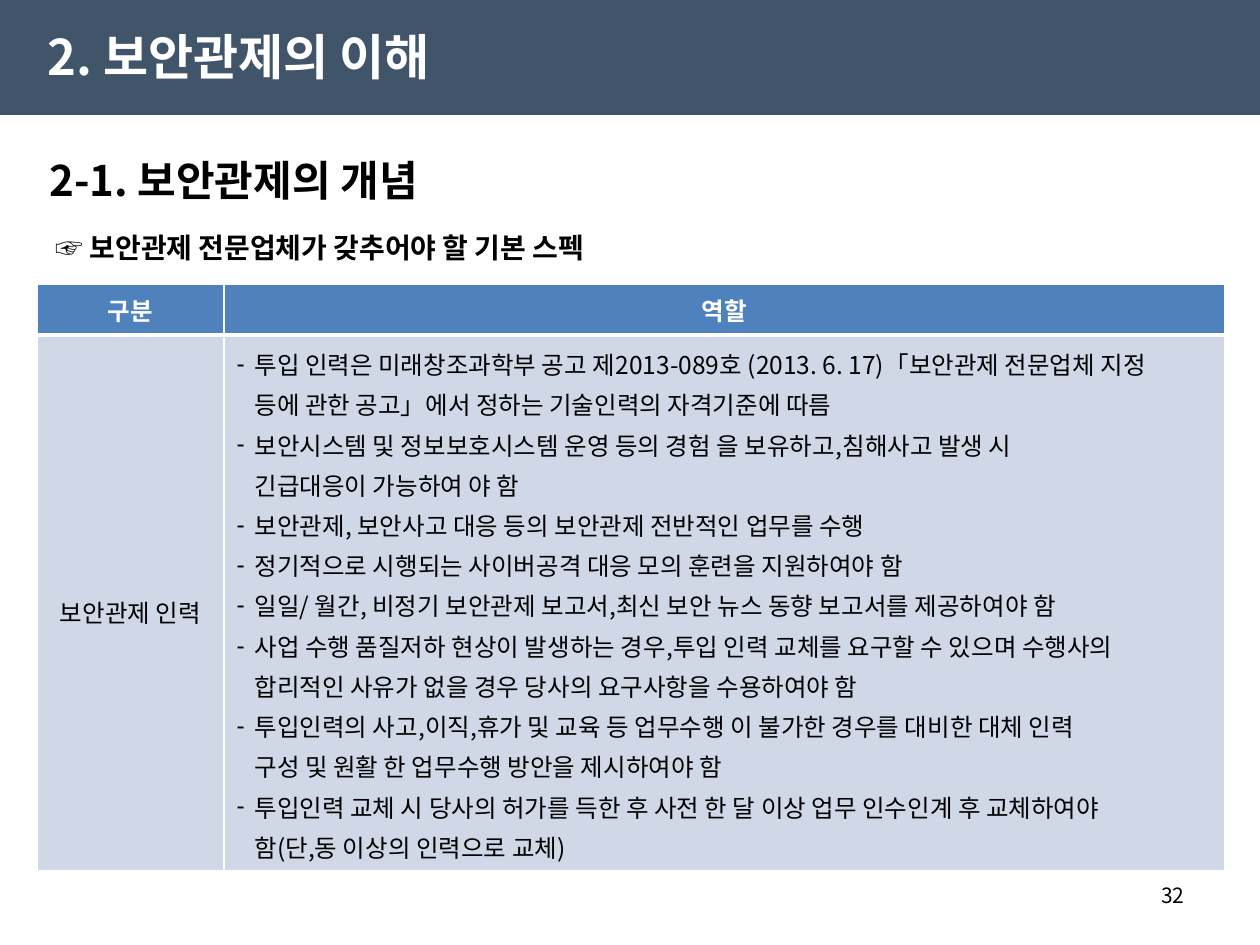
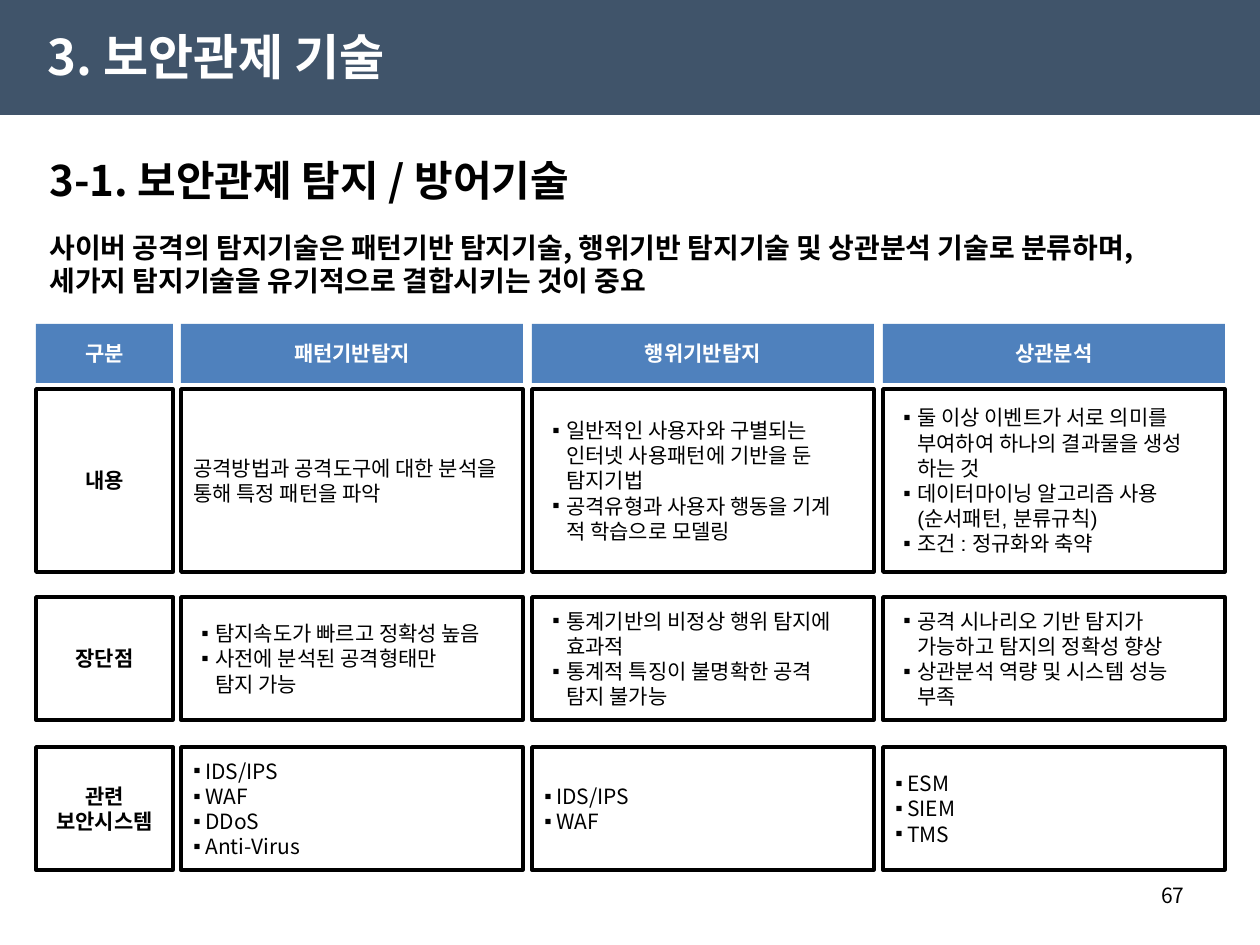
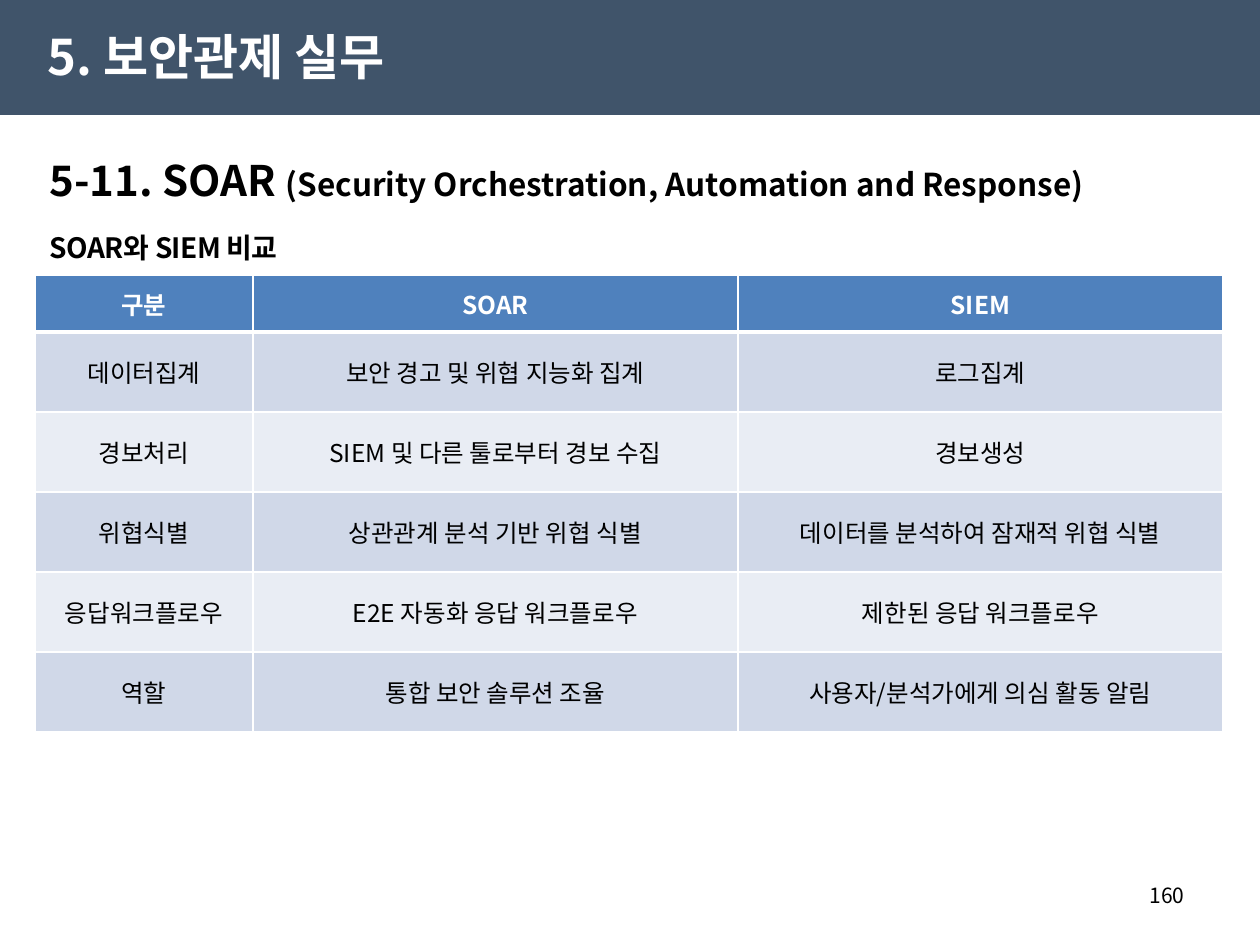
from lxml import etree
from pptx import Presentation
from pptx import util as u
from pptx.dml.color import RGBColor
from pptx.enum import shapes, text
from pptx.oxml.ns import qn

EMU_PER_PX = 914400 / 126
FONT = "Noto Sans CJK KR"
LATIN = "Arial"
COLORS = {"band": "40546A", "head": "4F81BD", "odd": "D0D8E8", "even": "E9EDF4",
          "black": "000000", "white": "FFFFFF"}
LEFT, CENTER, RIGHT = text.PP_ALIGN.LEFT, text.PP_ALIGN.CENTER, text.PP_ALIGN.RIGHT
MIDDLE, TOP = text.MSO_ANCHOR.MIDDLE, text.MSO_ANCHOR.TOP

# Bullet styles: character, text indent and hanging width in px
DASH = ("-", 18, 18)
WIDE_SQUARE = ("▪", 22, 14)
TIGHT_SQUARE = ("▪", 12, 12)


def px(value):
    return u.Emu(round(value * EMU_PER_PX))


def color(name):
    return RGBColor.from_string(COLORS[name])


class Deck:
    def __init__(self):
        self.deck = Presentation()
        self.deck.slide_width, self.deck.slide_height = px(1260), px(945)
        self.page = None

    def new_page(self, title, heading, lead, number, lead_height=47, lead_indent=0, spacing=0):
        """Start a slide; heading is a list of (text, size) spans."""
        self.page = self.deck.slides.add_slide(self.deck.slide_layouts[1])
        if len(self.deck.slides) == 1:
            self.band()
        name, body = self.page.placeholders
        self.place(name, 35, 16, 595, 79)
        self.fill_text(name.text_frame, [title], 28, "white", bold=True)
        self.place(body, 37, 224, 1188, lead_height)
        self.fill_text(body.text_frame, [lead], 16, bold=True, anchor=TOP,
                       indent=lead_indent, spacing=spacing)
        self.label(37, 145, 1188, 69, [heading], 24, bold=True)
        self.label(903, 876, 294, 50, [number], 12, align=RIGHT, anchor=TOP)

    def place(self, item, left, top, width, height):
        item.left, item.top, item.width, item.height = map(px, (left, top, width, height))

    def band(self):
        """Put the title band on the master, behind everything."""
        band = self.box(0, 0, 1260, 115, fill="band").element
        band.nvSpPr.cNvPr.set("id", "20")
        self.deck.slide_master.element.cSld.spTree.insert(2, band)

    def box(self, left, top, width, height, fill=None, line=None):
        box = self.page.shapes.add_shape(
            shapes.MSO_SHAPE.RECTANGLE, *map(px, (left, top, width, height)))
        box.shadow.inherit = False
        if fill:
            box.fill.solid()
            box.fill.fore_color.rgb = color(fill)
        else:
            box.fill.background()
        if line:
            box.line.color.rgb = color(line)
            box.line.width = u.Pt(2)
        else:
            box.line.fill.background()
        return box

    def label(self, left, top, width, height, lines, size, **style):
        box = self.page.shapes.add_textbox(*map(px, (left, top, width, height)))
        self.fill_text(box.text_frame, lines, size, **style)

    def fill_text(self, frame, lines, size, ink="black", bold=False, align=LEFT, anchor=MIDDLE,
                  font=FONT, bullet=None, indent=0, leading=None, spacing=0):
        """Fill a frame; a line is a string or a list of (text, size) spans."""
        frame.word_wrap = True
        frame.auto_size = text.MSO_AUTO_SIZE.NONE
        frame.vertical_anchor = anchor
        for index, line in enumerate(lines):
            para = frame.add_paragraph() if index else frame.paragraphs[0]
            self.bullet(para, bullet, indent)
            para.alignment = align
            para.space_before = u.Pt(0)
            if leading:
                para.line_spacing = leading
            spans = [(line, size)] if isinstance(line, str) else line
            for words, span_size in spans:
                for row, part in enumerate(words.split("\n")):
                    if row:
                        para.add_line_break()
                    self.span(para, part, span_size, ink, bold, font, spacing)

    def bullet(self, para, bullet, indent):
        props = para._p.get_or_add_pPr()
        char, margin, hang = bullet or (None, indent, 0)
        props.set("marL", str(px(margin)))
        props.set("indent", str(-px(hang)))
        if char:
            etree.SubElement(props, qn("a:buFont")).set("typeface", LATIN)
            etree.SubElement(props, qn("a:buChar")).set("char", char)
        else:
            etree.SubElement(props, qn("a:buNone"))

    def span(self, para, words, size, ink, bold, font, spacing):
        span = para.add_run()
        span.text = words
        span.font.size = u.Pt(size)
        span.font.bold = bold
        span.font.color.rgb = color(ink)
        span.font.name = font
        props = span._r.get_or_add_rPr()
        etree.SubElement(props, qn("a:ea")).set("typeface", FONT)
        if spacing:
            props.set("spc", str(spacing))

    def table(self, left, top, widths, heights, header):
        """Add a table with a filled-in header row and banded, empty body cells."""
        table = self.page.shapes.add_table(
            len(heights), len(widths),
            *map(px, (left, top, sum(widths), sum(heights)))).table
        table.horz_banding = False
        for column, width in zip(table.columns, widths):
            column.width = px(width)
        for index, (row, height) in enumerate(zip(table.rows, heights)):
            row.height = px(height)
            fill = "head" if index == 0 else ("odd" if index % 2 else "even")
            for cell in row.cells:
                cell.fill.solid()
                cell.fill.fore_color.rgb = color(fill)
                self.borders(cell, top=3 if index == 1 else 1, bottom=1 if index else 3)
        for column, words in enumerate(header):
            self.cell(table, 0, column, [words], ink="white", bold=True, align=CENTER)
        return table

    def borders(self, cell, top, bottom):
        props = cell._tc.get_or_add_tcPr()
        sides = (("L", 1), ("R", 1), ("T", top), ("B", bottom))
        for index, (side, width) in enumerate(sides):
            line = etree.Element(qn("a:ln" + side), w=str(u.Pt(width)))
            fill = etree.SubElement(line, qn("a:solidFill"))
            etree.SubElement(fill, qn("a:srgbClr")).set("val", COLORS["white"])
            props.insert(index, line)

    def cell(self, table, row, column, lines, **style):
        cell = table.cell(row, column)
        self.fill_text(cell.text_frame, lines, 14, **style)
        cell.vertical_anchor = MIDDLE


STAFF_DUTIES = [
    "투입 인력은 미래창조과학부 공고 제2013-089호 (2013. 6. 17)「보안관제 전문업체 지정\n"
    "등에 관한 공고」에서 정하는 기술인력의 자격기준에 따름",
    "보안시스템 및 정보보호시스템 운영 등의 경험 을 보유하고,침해사고 발생 시\n"
    "긴급대응이 가능하여 야 함",
    "보안관제, 보안사고 대응 등의 보안관제 전반적인 업무를 수행",
    "정기적으로 시행되는 사이버공격 대응 모의 훈련을 지원하여야 함",
    "일일/ 월간, 비정기 보안관제 보고서,최신 보안 뉴스 동향 보고서를 제공하여야 함",
    "사업 수행 품질저하 현상이 발생하는 경우,투입 인력 교체를 요구할 수 있으며 수행사의\n"
    "합리적인 사유가 없을 경우 당사의 요구사항을 수용하여야 함",
    "투입인력의 사고,이직,휴가 및 교육 등 업무수행 이 불가한 경우를 대비한 대체 인력\n"
    "구성 및 원활 한 업무수행 방안을 제시하여야 함",
    "투입인력 교체 시 당사의 허가를 득한 후 사전 한 달 이상 업무 인수인계 후 교체하여야\n"
    "함(단,동 이상의 인력으로 교체)",
]

DETECTION_HEADS = ["구분", "패턴기반탐지", "행위기반탐지", "상관분석"]

# Each row: top, height, row name, then (bullet, font, lines) for each technique
DETECTION_ROWS = [
    (389, 183, "내용", [
        (None, FONT, ["공격방법과 공격도구에 대한 분석을 통해 특정 패턴을 파악"]),
        (WIDE_SQUARE, LATIN, ["일반적인 사용자와 구별되는\n인터넷 사용패턴에 기반을 둔\n탐지기법",
                              "공격유형과 사용자 행동을 기계\n적 학습으로 모델링"]),
        (WIDE_SQUARE, LATIN, ["둘 이상 이벤트가 서로 의미를\n부여하여 하나의 결과물을 생성\n하는 것",
                              "데이터마이닝 알고리즘 사용\n(순서패턴, 분류규칙)",
                              "조건 : 정규화와 축약"])]),
    (597, 123, "장단점", [
        (WIDE_SQUARE, FONT, ["탐지속도가 빠르고 정확성 높음", "사전에 분석된 공격형태만\n탐지 가능"]),
        (WIDE_SQUARE, LATIN, ["통계기반의 비정상 행위 탐지에\n효과적",
                              "통계적 특징이 불명확한 공격\n탐지 불가능"]),
        (WIDE_SQUARE, LATIN, ["공격 시나리오 기반 탐지가\n가능하고 탐지의 정확성 향상",
                              "상관분석 역량 및 시스템 성능\n부족"])]),
    (747, 123, "관련 보안시스템", [
        (TIGHT_SQUARE, FONT, ["IDS/IPS", "WAF", "DDoS", "Anti-Virus"]),
        (TIGHT_SQUARE, FONT, ["IDS/IPS", "WAF"]),
        (TIGHT_SQUARE, FONT, ["ESM", "SIEM", "TMS"])]),
]

SOAR_ROWS = [
    ("데이터집계", "보안 경고 및 위협 지능화 집계", "로그집계"),
    ("경보처리", "SIEM 및 다른 툴로부터 경보 수집", "경보생성"),
    ("위협식별", "상관관계 분석 기반 위협 식별", "데이터를 분석하여 잠재적 위협 식별"),
    ("응답워크플로우", "E2E 자동화 응답 워크플로우", "제한된 응답 워크플로우"),
    ("역할", "통합 보안 솔루션 조율", "사용자/분석가에게 의심 활동 알림"),
]


def staff_page(deck):
    deck.new_page("2. 보안관제의 이해", [("2-1. 보안관제의 개념", 24)],
                  "☞ 보안관제 전문업체가 갖추어야 할 기본 스펙", "32", lead_indent=6)
    table = deck.table(37, 284, (187, 1001), (51, 536), ("구분", "역할"))
    deck.cell(table, 1, 0, ["보안관제 인력"], align=CENTER, leading=1.5)
    deck.cell(table, 1, 1, STAFF_DUTIES, bullet=DASH, leading=u.Pt(23))


def detection_page(deck):
    deck.new_page("3. 보안관제 기술", [("3-1. 보안관제 탐지 / 방어기술", 24)],
                  "사이버 공격의 탐지기술은 패턴기반 탐지기술, 행위기반 탐지기술 및 상관분석 기술로 "
                  "분류하며, 세가지 탐지기술을 유기적으로 결합시키는 것이 중요",
                  "67", lead_height=81)
    columns = [(36, 137)] + [(181 + 351 * index, 342) for index in range(3)]
    for (left, width), head in zip(columns, DETECTION_HEADS):
        box = deck.box(left, 324, width, 59, fill="head")
        deck.fill_text(box.text_frame, [head], 12, "white", bold=True, align=CENTER)
    for top, height, name, techniques in DETECTION_ROWS:
        boxes = [deck.box(left, top, width, height, line="black") for left, width in columns]
        deck.fill_text(boxes[0].text_frame, [name], 12, bold=True, align=CENTER)
        for box, (bullet, font, lines) in zip(boxes[1:], techniques):
            deck.fill_text(box.text_frame, lines, 12, font=font, bullet=bullet)


def soar_page(deck):
    deck.new_page("5. 보안관제 실무",
                  [("5-11. SOAR ", 24),
                   ("(Security Orchestration, Automation and Response)", 18)],
                  "SOAR와 SIEM 비교", "160", spacing=-30)
    table = deck.table(35, 275, (218, 485, 485), [57] + [80] * 5, ("구분", "SOAR", "SIEM"))
    for row, entries in enumerate(SOAR_ROWS, 1):
        for column, words in enumerate(entries):
            deck.cell(table, row, column, [words], align=CENTER)


def main():
    deck = Deck()
    staff_page(deck)
    detection_page(deck)
    soar_page(deck)
    deck.deck.save("out.pptx")


if __name__ == "__main__":
    main()
